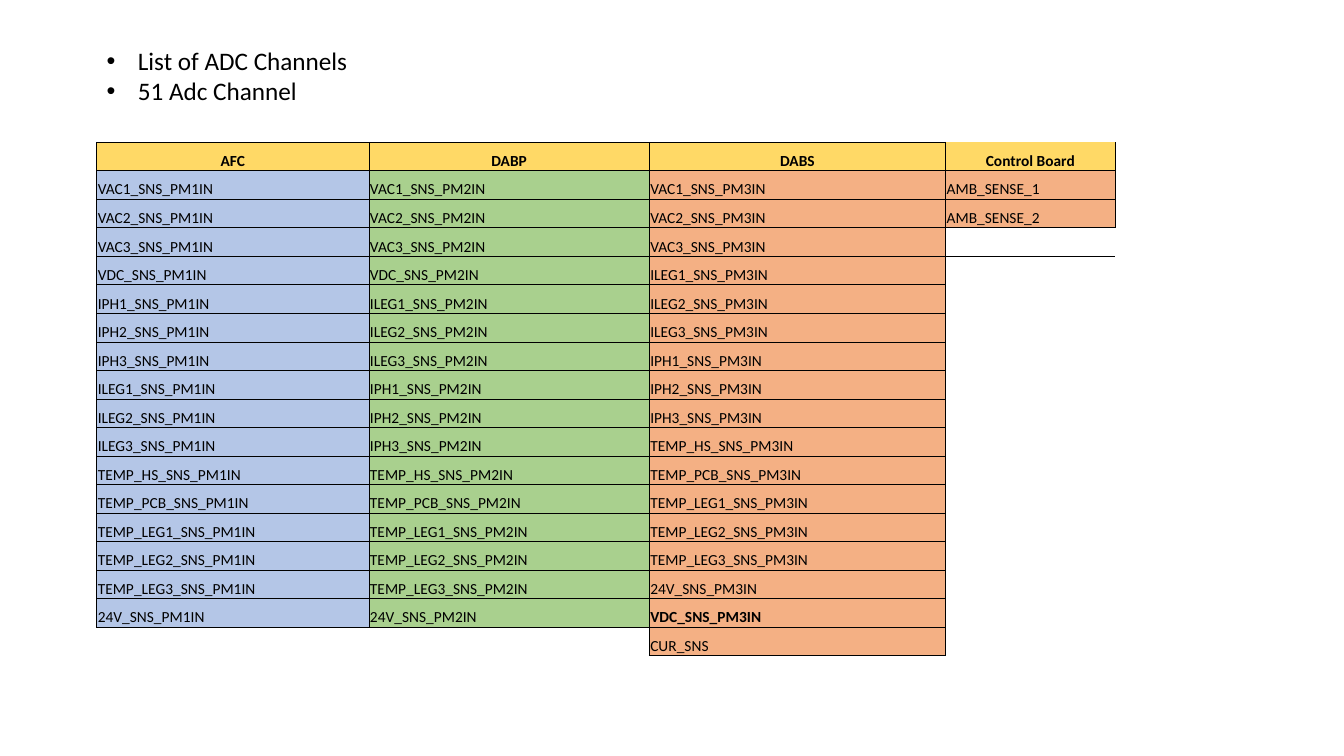
from lxml.etree import SubElement
from pptx import Presentation
from pptx.dml.color import RGBColor
from pptx.enum.text import MSO_ANCHOR, PP_ALIGN
from pptx.oxml.ns import qn
from pptx.util import Inches, Pt

COLORS = {
    "header": "FFD966",
    "blue": "B4C6E7",
    "green": "A9D08E",
    "orange": "F4B084",
    "black": "000000",
}
FONT = "Calibri"

VAC = ["VAC1", "VAC2", "VAC3"]
PHASES = ["IPH1", "IPH2", "IPH3"]
LEGS = ["ILEG1", "ILEG2", "ILEG3"]
TEMPERATURES = ["TEMP_HS", "TEMP_PCB", "TEMP_LEG1", "TEMP_LEG2", "TEMP_LEG3", "24V"]

afc = [f"{name}_SNS_PM1IN" for name in VAC + ["VDC"] + PHASES + LEGS + TEMPERATURES]
dabp = [f"{name}_SNS_PM2IN" for name in VAC + ["VDC"] + LEGS + PHASES + TEMPERATURES]
dabs = [f"{name}_SNS_PM3IN" for name in VAC + LEGS + PHASES + TEMPERATURES + ["VDC"]]

# heading, column width, fill, channels
BOARDS = [
    ("AFC", 2.7, "blue", afc),
    ("DABP", 2.78, "green", dabp),
    ("DABS", 2.94, "orange", dabs + ["CUR_SNS"]),
    ("Control Board", 1.68, "orange", ["AMB_SENSE_1", "AMB_SENSE_2"]),
]
BOLD_CHANNEL = "VDC_SNS_PM3IN"
ROW_COUNT = 1 + max(len(channels) for *_, channels in BOARDS)
TABLE_HEIGHT = 5.1
SIDES = {"a:lnL": (0, -1), "a:lnR": (0, 1), "a:lnT": (-1, 0), "a:lnB": (1, 0)}


def add_run(paragraph, text, size, bold=False):
    run = paragraph.add_run()
    run.text = text
    run.font.name = FONT
    run.font.size = Pt(size)
    run.font.bold = bold
    run.font.color.rgb = RGBColor.from_string(COLORS["black"])


def is_filled(row, column):
    """Tell whether a grid position holds a heading or a channel."""
    return 0 <= column < len(BOARDS) and 0 <= row <= len(BOARDS[column][3])


presentation = Presentation()
presentation.slide_width = Inches(13.33)
presentation.slide_height = Inches(7.5)
slide = presentation.slides.add_slide(presentation.slide_layouts[6])

# Channel table
table_width = sum(width for _, width, *_ in BOARDS)
table = slide.shapes.add_table(
    ROW_COUNT, len(BOARDS), Inches(0.96), Inches(1.41), Inches(table_width), Inches(TABLE_HEIGHT)
).table
table.horz_banding = False
table.first_row = False
style_id = table._tbl.tblPr.find(qn("a:tableStyleId"))
style_id.text = "{2D5ABB26-0587-4C30-8999-92F81FD0307C}"
for table_row in table.rows:
    table_row.height = Inches(TABLE_HEIGHT / ROW_COUNT)

for column, (heading, width, color, channels) in enumerate(BOARDS):
    table.columns[column].width = Inches(width)
    for row in range(ROW_COUNT):
        cell = table.cell(row, column)
        cell.margin_left = cell.margin_right = cell.margin_top = Inches(0.01)
        cell.margin_bottom = 0
        cell.vertical_anchor = MSO_ANCHOR.BOTTOM

        for side, (row_step, column_step) in SIDES.items():
            if heading == "Control Board" and row == 0 and side == "a:lnT":
                continue
            if is_filled(row, column) or is_filled(row + row_step, column + column_step):
                line = SubElement(cell._tc.get_or_add_tcPr(), qn(side), w=str(Pt(0.5)))
                line_fill = SubElement(line, qn("a:solidFill"))
                SubElement(line_fill, qn("a:srgbClr"), val=COLORS["black"])

        paragraph = cell.text_frame.paragraphs[0]
        if not is_filled(row, column):
            cell.fill.background()
            SubElement(paragraph._p, qn("a:endParaRPr"), sz="1100")
            continue
        text = heading if row == 0 else channels[row - 1]
        cell.fill.solid()
        cell.fill.fore_color.rgb = RGBColor.from_string(COLORS["header" if row == 0 else color])
        paragraph.alignment = PP_ALIGN.CENTER if row == 0 else PP_ALIGN.LEFT
        add_run(paragraph, text, 11, bold=row == 0 or text == BOLD_CHANNEL)

# Bulleted summary
summary = slide.shapes.add_textbox(Inches(0.96), Inches(0.4), Inches(9), Inches(0.71))
text_frame = summary.text_frame
text_frame.word_wrap = True
for index, text in enumerate(["List of ADC Channels", "51 Adc Channel"]):
    paragraph = text_frame.add_paragraph() if index else text_frame.paragraphs[0]
    properties = paragraph._p.get_or_add_pPr()
    properties.set("marL", str(Inches(0.31)))
    properties.set("indent", str(Inches(-0.31)))
    SubElement(properties, qn("a:buFont"), typeface="Arial")
    SubElement(properties, qn("a:buChar"), char="•")
    add_run(paragraph, text, 18)

presentation.save("out.pptx")
